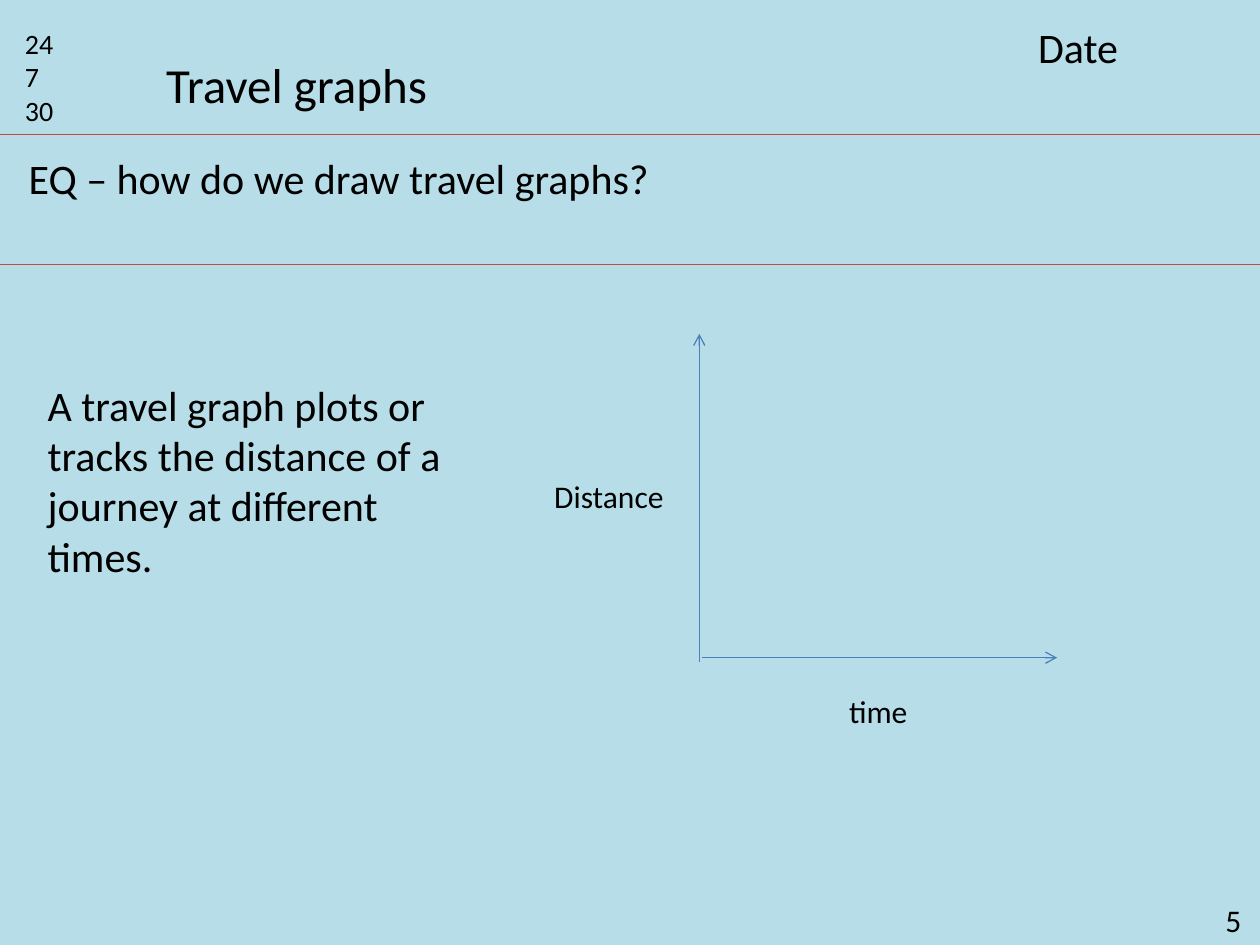
"""Build the travel graphs lesson slide."""
from lxml import etree
from pptx import Presentation
from pptx import util as u
from pptx.dml.color import RGBColor
from pptx.enum import shapes, text
from pptx.oxml.ns import qn

COLORS = {"sky": "B7DEE8", "rule": "BF4C48", "axis": "4B7EBC", "ink": "000000"}

prs = Presentation()
prs.slide_width, prs.slide_height = u.Inches(10), u.Inches(7.5)
s = prs.slides.add_slide(prs.slide_layouts[6])
s.background.fill.solid()
s.background.fill.fore_color.rgb = RGBColor.from_string(COLORS["sky"])


def add_text(content, box, size, wrap=True):
    sp = s.shapes.add_textbox(*[u.Inches(v) for v in box])
    tf = sp.text_frame
    tf.text = content
    tf.word_wrap = wrap
    tf.auto_size = text.MSO_AUTO_SIZE.SHAPE_TO_FIT_TEXT
    for p in tf.paragraphs:
        for r in p.runs:
            r.font.name, r.font.size = "Calibri", u.Pt(size)
            r.font.color.rgb = RGBColor.from_string(COLORS["ink"])


def add_line(start, end, color, arrow=False):
    points = [u.Inches(v) for v in (*start, *end)]
    sp = s.shapes.add_connector(shapes.MSO_CONNECTOR.STRAIGHT, *points)
    sp.line.color.rgb = RGBColor.from_string(COLORS[color])
    sp.line.width = u.Pt(0.75)
    if arrow:
        etree.SubElement(sp.line._get_or_add_ln(), qn("a:tailEnd"), type="arrow")
    etree.SubElement(sp._element.spPr, qn("a:effectLst"))


add_text(" 5", (9.57, 7.1, 0.6, 0.4), 18)
for y in (1.07, 2.1):
    add_line((0, y), (10, y), "rule")

add_text("24\n7\n30", (0.1, 0.16, 0.63, 0.91), 16)
add_text("Travel graphs", (1.22, 0.38, 2.29, 0.57), 28, wrap=False)
add_text("Date", (8.14, 0.12, 1.73, 0.5), 24)
add_text("EQ – how do we draw travel graphs?", (0.13, 1.16, 9.43, 0.5), 24)

add_line((5.55, 5.25), (5.55, 2.65), "axis", arrow=True)
add_line((5.57, 5.22), (8.39, 5.22), "axis", arrow=True)
add_text("Distance", (4.3, 3.74, 1.08, 0.4), 18, wrap=False)
add_text("time", (6.64, 5.44, 0.67, 0.4), 18, wrap=False)
add_text("A travel graph plots or tracks the distance of a journey at different times.",
         (0.28, 2.96, 3.46, 1.72), 24)

prs.save("out.pptx")
